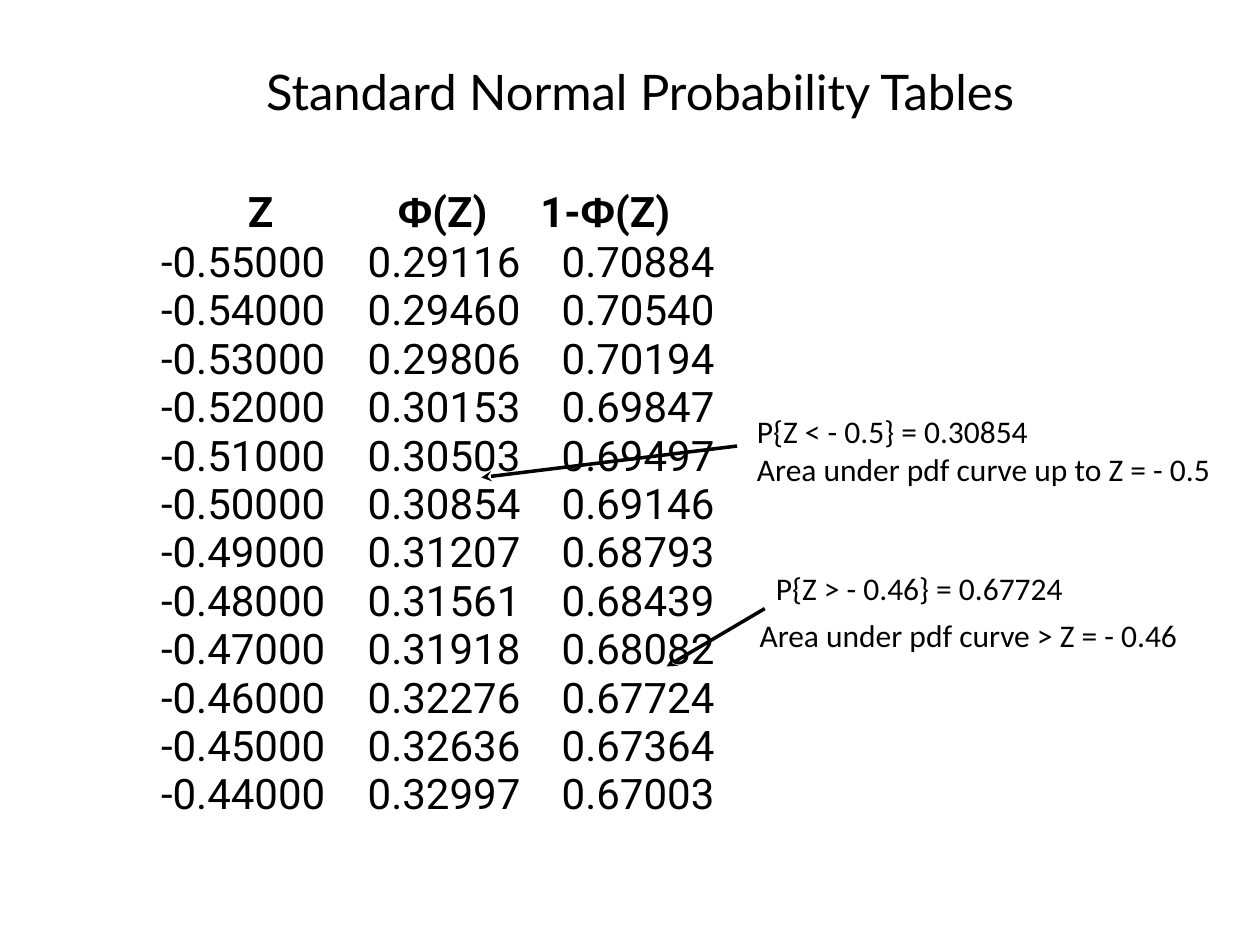
from dataclasses import dataclass

from lxml.etree import SubElement
from pptx import Presentation
from pptx.dml.color import RGBColor
from pptx.enum.shapes import MSO_CONNECTOR, MSO_SHAPE
from pptx.enum.text import MSO_ANCHOR, PP_ALIGN
from pptx.oxml.ns import qn
from pptx.util import Inches, Pt


@dataclass(frozen=True)
class Theme:
    ink: str = "000000"
    paper: str = "FFFFFF"
    title_font: str = "Lato"
    table_font: str = "Roboto"
    greek_font: str = "Arial"
    note_font: str = "Calibri"
    title_size: int = 28
    table_size: int = 24
    note_size: int = 18
    line_width: int = 2


THEME = Theme()
CELL = 0.1  # inches: the grid has 100 columns and 75 rows
COLUMNS, ROWS = 100, 75

# Tab stops, in grid columns from the text edge of the table
HEADER_STOPS = (9.2, 21.1, 32.4)
VALUE_STOPS = (2.3, 18.7, 34.1)
PHI_VALUES = (
    "0.29116", "0.29460", "0.29806", "0.30153", "0.30503", "0.30854",
    "0.31207", "0.31561", "0.31918", "0.32276", "0.32636", "0.32997",
)


def grid(cells):
    return Inches(cells * CELL)


def write(para, text, *, font, size, bold=False, color=THEME.ink):
    span = para.add_run()
    span.text = text
    span.font.name = font
    span.font.size = Pt(size)
    span.font.bold = bold
    span.font.color.rgb = RGBColor.from_string(color)


class SlideBuilder:
    def __init__(self, page, theme):
        self.page = page
        self.theme = theme

    def text_box(self, area, *, wrap=True, anchor=MSO_ANCHOR.TOP):
        box = self.page.shapes.add_textbox(*map(grid, area))
        box.text_frame.word_wrap = wrap
        box.text_frame.vertical_anchor = anchor
        return box.text_frame

    def title(self, text, area):
        para = self.text_box(area, anchor=MSO_ANCHOR.MIDDLE).paragraphs[0]
        para.alignment = PP_ALIGN.CENTER
        write(para, text, font=self.theme.title_font, size=self.theme.title_size)

    def table_line(self, para, stops):
        para.line_spacing = 0.9
        para.space_before = Pt(1.75)
        tabs = SubElement(para._p.get_or_add_pPr(), qn("a:tabLst"))
        for stop in stops:
            SubElement(tabs, qn("a:tab"), pos=str(grid(stop)), algn="l")

    def probability_table(self, area):
        theme = self.theme
        frame = self.text_box(area)
        header = frame.paragraphs[0]
        self.table_line(header, HEADER_STOPS)
        write(header, "\t", font=theme.table_font, size=theme.title_size)
        for text in ("Z\t", "Φ", "(Z)\t1-", "Φ", "(Z)"):
            font = theme.greek_font if text == "Φ" else theme.table_font
            write(header, text, font=font, size=theme.table_size, bold=True)
        for index, phi in enumerate(PHI_VALUES):
            z = -0.55 + index * 0.01
            para = frame.add_paragraph()
            self.table_line(para, VALUE_STOPS)
            write(para, f"\t{z:.5f}\t{phi}\t{1 - float(phi):.5f}",
                  font=theme.table_font, size=theme.table_size)

    def note(self, text, area):
        para = self.text_box(area, wrap=False).paragraphs[0]
        write(para, text, font=self.theme.note_font, size=self.theme.note_size)

    def formula(self, text, area):
        box = self.page.shapes.add_shape(MSO_SHAPE.RECTANGLE, *map(grid, area))
        box.shadow.inherit = False
        box.fill.solid()
        box.fill.fore_color.rgb = RGBColor.from_string(self.theme.paper)
        box.line.fill.background()
        frame = box.text_frame
        frame.word_wrap = False
        frame.vertical_anchor = MSO_ANCHOR.TOP
        para = frame.paragraphs[0]
        para.alignment = PP_ALIGN.LEFT
        write(para, text, font=self.theme.note_font, size=self.theme.note_size)

    def arrow(self, tip, tail):
        line = self.page.shapes.add_connector(
            MSO_CONNECTOR.STRAIGHT, *map(grid, tip + tail))
        line.line.color.rgb = RGBColor.from_string(self.theme.ink)
        line.line.width = Pt(self.theme.line_width)
        SubElement(line.line._get_or_add_ln(), qn("a:headEnd"), type="stealth")
        SubElement(line._element.spPr, qn("a:effectLst"))


def main():
    deck = Presentation()
    deck.slide_width, deck.slide_height = grid(COLUMNS), grid(ROWS)
    page = deck.slides.add_slide(deck.slide_layouts[6])
    builder = SlideBuilder(page, THEME)

    # Title and table
    builder.title("Standard Normal Probability Tables", (9.3, 3.1, 83, 8.2))
    builder.probability_table((9.5, 14.2, 84.7, 52.4))

    # Lower tail: probability below Z
    builder.formula("P{Z < - 0.5} = 0.30854", (59.1, 32.2, 25.3, 4))
    builder.arrow((38.2, 37.9), (58.5, 35.4))
    builder.note("Area under pdf curve up to Z = - 0.5", (59.1, 35.2, 38.4, 4))

    # Upper tail: probability above Z
    builder.formula("P{Z > - 0.46} = 0.67724", (60.6, 44.7, 28.3, 4))
    builder.arrow((52.9, 52.9), (60.7, 48.3))
    builder.note("Area under pdf curve > Z = - 0.46", (59.3, 48.4, 39.8, 4))

    deck.save("out.pptx")


if __name__ == "__main__":
    main()
